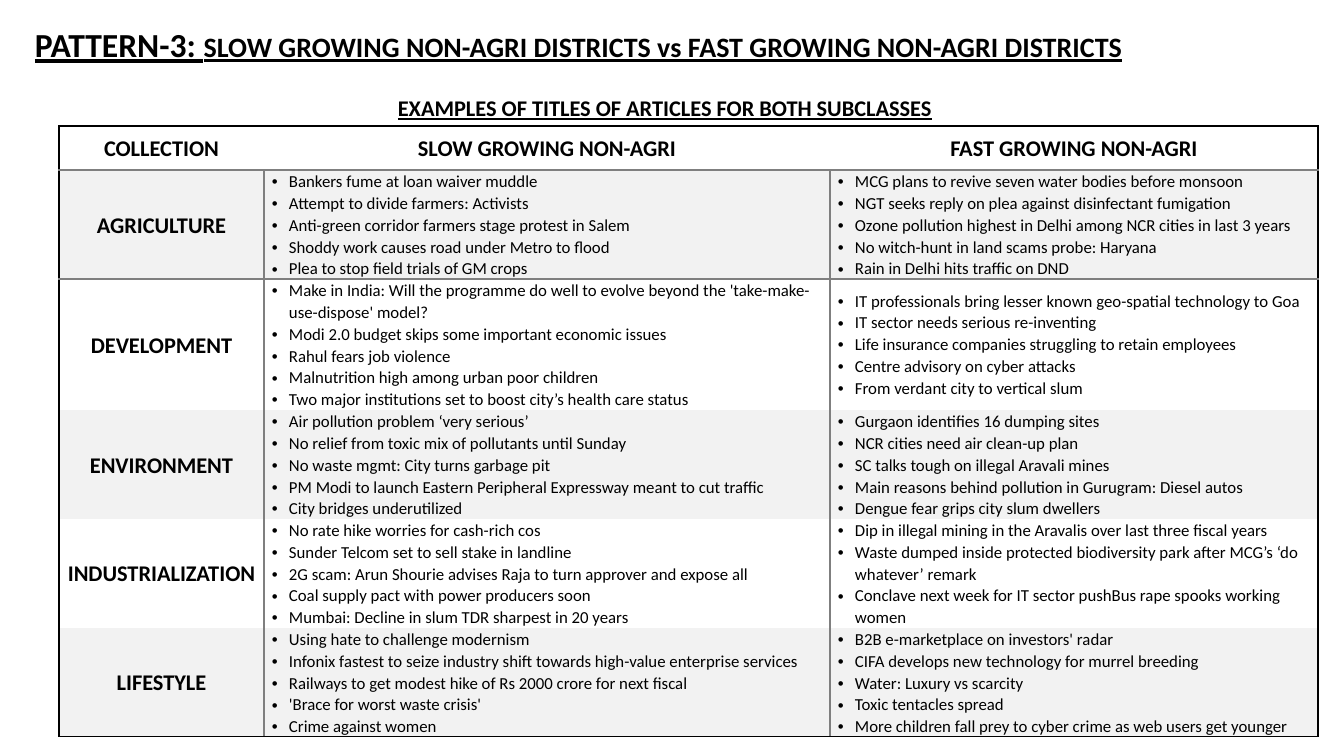
from lxml.etree import SubElement
from pptx import Presentation
from pptx.dml.color import RGBColor
from pptx.enum.text import MSO_ANCHOR, PP_ALIGN
from pptx.oxml import parse_xml
from pptx.oxml.ns import nsdecls, qn
from pptx.util import Emu, Pt


def px(count):
    return Emu(round(count * 12192000 / 1344))


def style(run, size, bold=False, underline=False):
    run.font.name = "Calibri"
    run.font.size = Pt(size)
    run.font.bold = bold
    run.font.underline = underline
    run.font.color.rgb = RGBColor.from_string("000000")


collections = [
    ("AGRICULTURE", 109, [
        "Bankers fume at loan waiver muddle",
        "Attempt to divide farmers: Activists",
        "Anti-green corridor farmers stage protest in Salem",
        "Shoddy work causes road under Metro to flood",
        "Plea to stop field trials of GM crops",
    ], [
        "MCG plans to revive seven water bodies before monsoon",
        "NGT seeks reply on plea against disinfectant fumigation",
        "Ozone pollution highest in Delhi among NCR cities in last 3 years",
        "No witch-hunt in land scams probe: Haryana",
        "Rain in Delhi hits traffic on DND",
    ]),
    ("DEVELOPMENT", 131, [
        "Make in India: Will the programme do well to evolve beyond the 'take-make-use-dispose' model?",
        "Modi 2.0 budget skips some important economic issues",
        "Rahul fears job violence",
        "Malnutrition high among urban poor children",
        "Two major institutions set to boost city’s health care status",
    ], [
        "IT professionals bring lesser known geo-spatial technology to Goa",
        "IT sector needs serious re-inventing",
        "Life insurance companies struggling to retain employees",
        "Centre advisory on cyber attacks",
        "From verdant city to vertical slum",
    ]),
    ("ENVIRONMENT", 109, [
        "Air pollution problem ‘very serious’",
        "No relief from toxic mix of pollutants until Sunday",
        "No waste mgmt: City turns garbage pit",
        "PM Modi to launch Eastern Peripheral Expressway meant to cut traffic",
        "City bridges underutilized",
    ], [
        "Gurgaon identifies 16 dumping sites",
        "NCR cities need air clean-up plan",
        "SC talks tough on illegal Aravali mines",
        "Main reasons behind pollution in Gurugram: Diesel autos",
        "Dengue fear grips city slum dwellers",
    ]),
    ("INDUSTRIALIZATION", 109, [
        "No rate hike worries for cash-rich cos",
        "Sunder Telcom set to sell stake in landline",
        "2G scam: Arun Shourie advises Raja to turn approver and expose all",
        "Coal supply pact with power producers soon",
        "Mumbai: Decline in slum TDR sharpest in 20 years",
    ], [
        "Dip in illegal mining in the Aravalis over last three fiscal years",
        "Waste dumped inside protected biodiversity park after MCG’s ‘do whatever’ remark",
        "Conclave next week for IT sector pushBus rape spooks working women",
    ]),
    ("LIFESTYLE", 109, [
        "Using hate to challenge modernism",
        "Infonix fastest to seize industry shift towards high-value enterprise services",
        "Railways to get modest hike of Rs 2000 crore for next fiscal",
        "'Brace for worst waste crisis'",
        "Crime against women",
    ], [
        "B2B e-marketplace on investors' radar",
        "CIFA develops new technology for murrel breeding",
        "Water: Luxury vs scarcity",
        "Toxic tentacles spread",
        "More children fall prey to cyber crime as web users get younger",
    ]),
]

prs = Presentation()
prs.slide_width, prs.slide_height = px(1344), px(756)
slide = prs.slides.add_slide(prs.slide_layouts[6])

headings = [
    ((25, 19, 1184, 50), [
        ("PATTERN-3: ", 24),
        ("SLOW GROWING NON-AGRI DISTRICTS vs FAST GROWING NON-AGRI DISTRICTS", 20),
    ]),
    ((388, 89, 569, 37), [("EXAMPLES OF TITLES OF ARTICLES FOR BOTH SUBCLASSES", 16)]),
]
for place, parts in headings:
    heading = slide.shapes.add_textbox(*map(px, place)).text_frame
    heading.word_wrap = True
    for wording, size in parts:
        run = heading.paragraphs[0].add_run()
        run.text = wording
        style(run, size, bold=True, underline=True)

rows = [(["COLLECTION"], ["SLOW GROWING NON-AGRI"], ["FAST GROWING NON-AGRI"])]
rows += [([name], slow, fast) for name, _, slow, fast in collections]
heights = [44] + [height for _, height, _, _ in collections]
widths = [205, 566, 488]
last_row, last_column = len(rows) - 1, len(widths) - 1

articles = slide.shapes.add_table(
    len(rows), len(widths), px(59), px(126), px(sum(widths)), px(sum(heights))
).table
articles.first_row = articles.horz_banding = False
articles._tbl.tblPr.find(qn("a:tableStyleId")).text = "{2D5ABB26-0587-4C30-8999-92F81FD0307C}"
for column, width in zip(articles.columns, widths):
    column.width = px(width)
for row, height in zip(articles.rows, heights):
    row.height = px(height)

for r, entries in enumerate(rows):
    for c, titles in enumerate(entries):
        cell = articles.cell(r, c)
        cell.margin_left = cell.margin_right = px(7)
        cell.margin_top = cell.margin_bottom = 0
        cell.vertical_anchor = MSO_ANCHOR.MIDDLE
        is_label = r == 0 or c == 0
        cell.text_frame.text = "\n".join(titles)
        for paragraph in cell.text_frame.paragraphs:
            paragraph.line_spacing = 1.07
            if is_label:
                paragraph.alignment = PP_ALIGN.CENTER
            else:
                pPr = paragraph._p.get_or_add_pPr()
                pPr.set("marL", str(px(18)))
                pPr.set("indent", str(-px(17)))
                SubElement(pPr, qn("a:buFont"), typeface="Arial")
                SubElement(pPr, qn("a:buChar"), char="•")
            style(paragraph.runs[0], 16 if is_label else 12, bold=is_label)

        if r % 2:
            cell.fill.solid()
            cell.fill.fore_color.rgb = RGBColor.from_string("F2F2F2")
        else:
            cell.fill.background()

        edges = {}
        if c == 0:
            edges["lnL"] = "000000"
        elif c == 1 and r > 0:
            edges["lnL"] = "7F7F7F"
        if c == last_column:
            edges["lnR"] = "000000"
        elif c == 0 and r > 0:
            edges["lnR"] = "7F7F7F"
        if r < 2:
            edges["lnT"] = "7F7F7F" if r else "000000"
        if r in (0, last_row):
            edges["lnB"] = "000000" if r else "7F7F7F"
        for position, (edge, color) in enumerate(edges.items()):
            border = parse_xml(
                f'<a:{edge} {nsdecls("a")} w="12700"><a:solidFill>'
                f'<a:srgbClr val="{color}"/></a:solidFill></a:{edge}>'
            )
            cell._tc.get_or_add_tcPr().insert(position, border)

prs.save("out.pptx")
